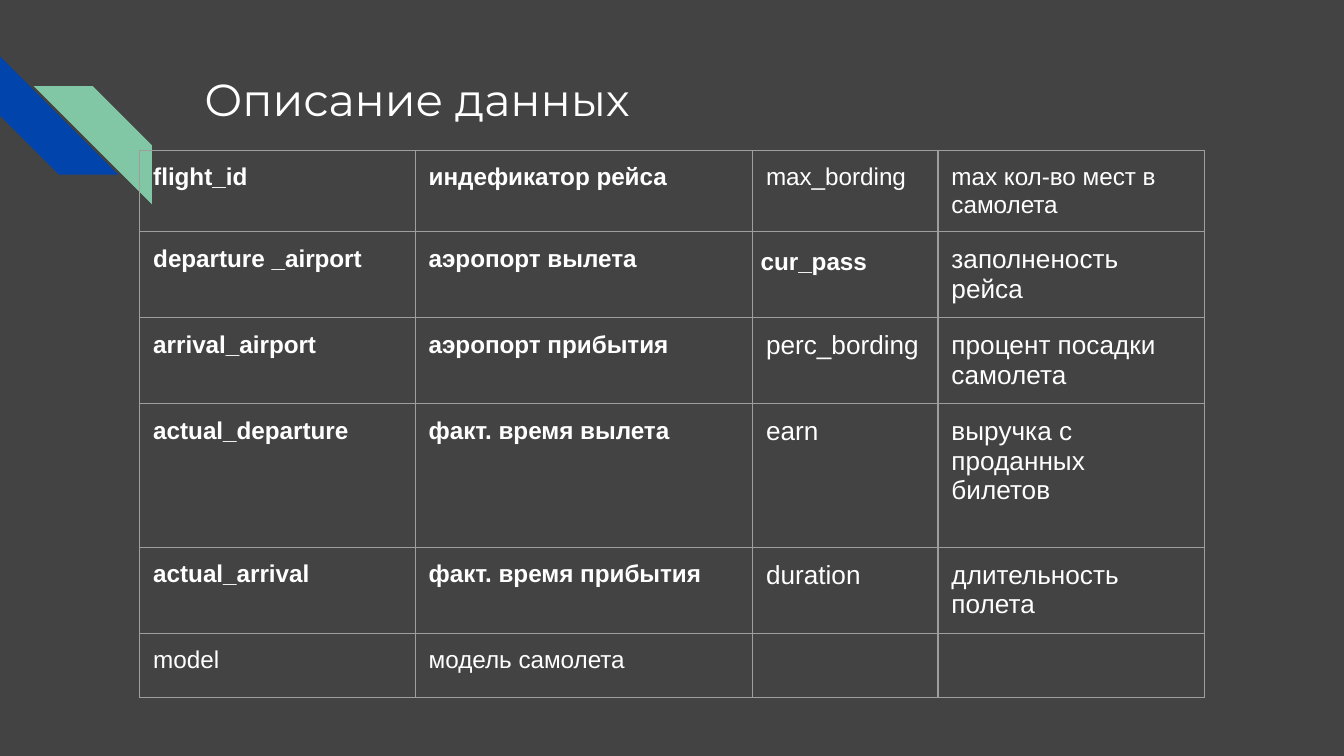
from lxml import etree
from pptx import Presentation
from pptx import util as u
from pptx.dml.color import RGBColor
from pptx.enum import shapes, text
from pptx.oxml.ns import qn

INK = {"back": "434343", "text": "FFFFFF", "blue": "0145AC", "green": "82C7A5", "rule": "9E9E9E"}


class Deck:
    """Holds the style and the current slide."""

    def __init__(self, wide, high):
        self.prs = Presentation()
        self.prs.slide_width, self.prs.slide_height = u.Inches(wide), u.Inches(high)
        self.slide = self.prs.slides.add_slide(self.prs.slide_layouts[5])
        self.paint(self.slide.background.fill, "back")

    def paint(self, fill, ink):
        fill.solid()
        fill.fore_color.rgb = RGBColor.from_string(INK[ink])

    def style(self, par, face, size, bold=False):
        for run in par.runs:
            run.font.name, run.font.size, run.font.bold = face, u.Pt(size), bold
            self.paint(run.font.fill, "text")

    def stripe(self, left, top, size, turn, ink):
        form = self.slide.shapes.add_shape(
            shapes.MSO_SHAPE.DIAGONAL_STRIPE, *map(u.Inches, (left, top, size, size)))
        form.rotation = turn
        form.shadow.inherit = False
        self.paint(form.fill, ink)
        form.line.fill.background()

    def title(self, words, left, top, wide, high):
        box = self.slide.shapes.title
        box.left, box.top, box.width, box.height = map(u.Inches, (left, top, wide, high))
        frame = box.text_frame
        frame.text = words
        frame.word_wrap = True
        frame.auto_size = text.MSO_AUTO_SIZE.NONE
        frame.vertical_anchor = text.MSO_ANCHOR.TOP
        self.inset(frame, 0.1)
        frame.paragraphs[0].alignment = text.PP_ALIGN.LEFT
        self.style(frame.paragraphs[0], "Montserrat", 24)

    def inset(self, item, gap):
        item.margin_left = item.margin_right = u.Inches(gap)
        item.margin_top = item.margin_bottom = u.Inches(gap)

    def border(self, cell):
        props = cell._tc.get_or_add_tcPr()
        for place, side in enumerate(("lnL", "lnR", "lnT", "lnB")):
            line = etree.Element(qn("a:" + side), w=str(u.Pt(0.75)))
            fill = etree.SubElement(line, qn("a:solidFill"))
            etree.SubElement(fill, qn("a:srgbClr"), val=INK["rule"])
            props.insert(place, line)

    def mark(self, run):
        light = etree.Element(qn("a:highlight"))
        etree.SubElement(light, qn("a:srgbClr"), val=INK["back"])
        run.font._element.find(qn("a:solidFill")).addnext(light)

    def cell(self, cell, words, size, bold):
        cell.fill.background()
        self.border(cell)
        self.inset(cell, 0.1)
        par = cell.text_frame.paragraphs[0]
        if words:
            par.text = words
            self.style(par, "Arial", size, bold)
            if bold:
                self.mark(par.runs[0])
        else:
            etree.SubElement(par._p, qn("a:endParaRPr"), sz=str(size * 100))

    def table(self, left, top, cols, rows, data):
        grid = self.slide.shapes.add_table(
            len(rows), len(cols), *map(u.Inches, (left, top, sum(cols), sum(rows)))).table
        grid.first_row = grid.horz_banding = False
        for col, wide in zip(grid.columns, cols):
            col.width = u.Inches(wide)
        for row, high, line in zip(grid.rows, rows, data):
            row.height = u.Inches(high)
            for cell, item in zip(row.cells, line):
                self.cell(cell, *item)
        return grid


FIELDS = [
    ("flight_id", "индефикатор рейса", "max_bording", "max кол-во мест в самолета"),
    ("departure _airport", "аэропорт вылета", "cur_pass", "заполненость рейса"),
    ("arrival_airport", "аэропорт прибытия", "perc_bording", "процент посадки самолета"),
    ("actual_departure", "факт. время вылета", "earn", "выручка с проданных билетов"),
    ("actual_arrival", "факт. время прибытия", "duration", "длительность полета"),
    ("model", "модель самолета", "", ""),
]


def look(row, col, words):
    bold = col < 2 and row < 5 or words == "cur_pass"
    size = 14 if col > 1 and row > 0 and not bold else 13
    return words, size, bold


deck = Deck(10, 10 * 9 / 16)
deck.stripe(0, 0.42, 0.88, 270, "blue")
deck.stripe(0.25, 0.64, 0.88, 90, "green")
deck.title("Описание данных", 1.42, 0.43, 7.7, 1)
data = [[look(r, c, words) for c, words in enumerate(line)] for r, line in enumerate(FIELDS)]
grid = deck.table(1.04, 1.12, (2.05, 2.51, 1.38, 1.98), (0.6, 0.64, 0.64, 1.07, 0.64, 0.48), data)
load = grid.cell(1, 2)
deck.inset(load, 0.06)
load.margin_bottom = u.Inches(0.28)
load.vertical_anchor = text.MSO_ANCHOR.MIDDLE
load.text_frame.paragraphs[0].line_spacing = 1.15
load.text_frame.paragraphs[0].space_before = u.Pt(9)
deck.prs.save("out.pptx")
